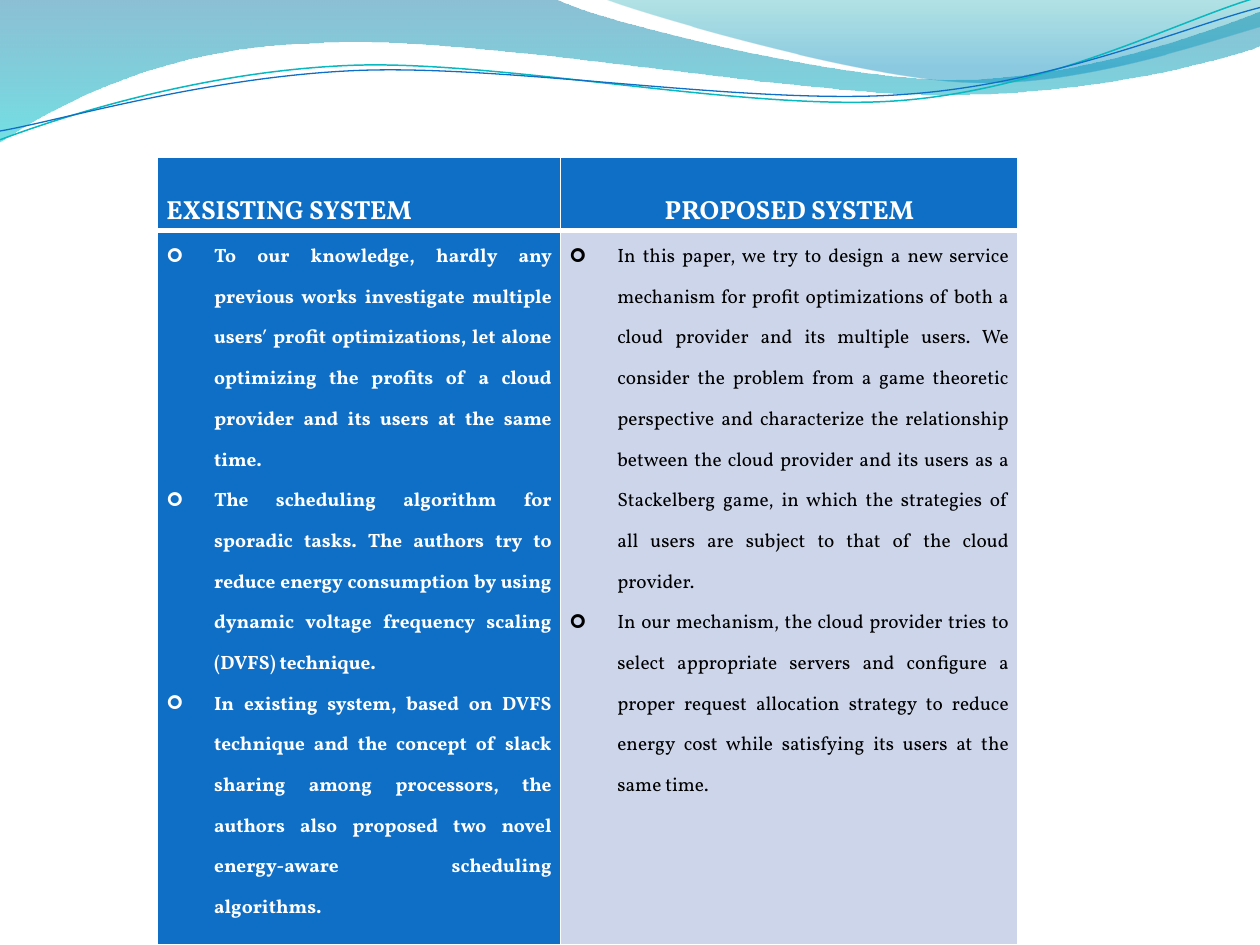
from dataclasses import dataclass

from lxml import etree
from pptx import Presentation
from pptx import util as u
from pptx.dml.color import RGBColor
from pptx.enum import text
from pptx.oxml import ns


@dataclass(frozen=True)
class Theme:
    """Colours, fonts and type sizes of the slide."""
    font: str = "Vollkorn"
    bullet_font: str = "Wingdings"
    blue: str = "0F6FC6"
    teal: str = "0AB8BF"
    pale: str = "CCD5EA"
    white: str = "FFFFFF"
    black: str = "000000"
    heading_size: int = 15
    body_size: int = 11


THEME = Theme()
BULLET = "➢"
HEADINGS = [
    ("EXSISTING SYSTEM", text.PP_ALIGN.LEFT),
    ("PROPOSED SYSTEM", text.PP_ALIGN.CENTER),
]
EXISTING = [
    "To our knowledge, hardly any previous works investigate multiple users′ profit "
    "optimizations, let alone optimizing the profits of a cloud provider and its users "
    "at the same time.",
    "The scheduling algorithm for sporadic tasks. The authors try to reduce energy "
    "consumption by using dynamic voltage frequency scaling (DVFS) technique.",
    "In existing system, based on DVFS technique and the concept of slack sharing among "
    "processors, the authors also proposed two novel energy-aware scheduling algorithms.",
]
PROPOSED = [
    "In this paper, we try to design a new service mechanism for profit optimizations of "
    "both a cloud provider and its multiple users. We consider the problem from a game "
    "theoretic perspective and characterize the relationship between the cloud provider "
    "and its users as a Stackelberg game, in which the strategies of all users are "
    "subject to that of the cloud provider.",
    "In our mechanism, the cloud provider tries to select appropriate servers and "
    "configure a proper request allocation strategy to reduce energy cost while "
    "satisfying its users at the same time.",
]
BACK_WAVE = [
    (0, 0), (4.4, -0.01),
    (4.76, 0.17, 6.64, 0.63, 7.58, 0.63), (8.53, 0.63, 9.58, 0.26, 10, 0.09),
    (10.01, 0.36),
    (9.83, 0.44, 8.7, 0.76, 7.46, 0.75), (6.22, 0.75, 3.82, 0.28, 2.57, 0.34),
    (1.29, 0.36, 0.46, 0.83, -0.01, 1.13),
]
FRONT_WAVE = [
    (4.79, -0.01),
    (5.09, 0.11, 6.82, 0.62, 7.69, 0.65), (8.56, 0.69, 9.61, 0.32, 10, 0.21),
    (10, 0),
]
TEAL_LINE = [
    (0, 1.11),
    (0.48, 0.93, 1.58, 0.57, 2.77, 0.52), (3.95, 0.47, 5.93, 0.89, 7.13, 0.8),
    (8.33, 0.71, 9.38, 0.15, 9.98, -0.02),
]
BLUE_LINE = [
    (0, 1.04),
    (0.47, 0.96, 1.64, 0.61, 2.83, 0.56), (4.03, 0.51, 5.97, 0.84, 7.17, 0.75),
    (8.36, 0.67, 9.41, 0.21, 10, 0.06),
]


def rgb(value):
    """Turn a hex string into a colour."""
    return RGBColor.from_string(value)


def bend_segment(line, numbers, shape):
    """Turn a straight segment into a cubic curve."""
    line.tag = ns.qn("a:cubicBezTo")
    for point in list(line):
        line.remove(point)
    for x, y in zip(numbers[::2], numbers[1::2]):
        etree.SubElement(line, ns.qn("a:pt"), x=str(u.Inches(x) - shape.left),
                         y=str(u.Inches(y) - shape.top))


def add_outline(slide, segments, close):
    """Draw an outline from line points and cubic curves."""
    anchors = [tuple(u.Inches(value) for value in segment[-2:]) for segment in segments]
    builder = slide.shapes.build_freeform(*anchors[0], scale=1.0)
    builder.add_line_segments(anchors[1:], close=close)
    shape = builder.convert_to_shape()
    shape.shadow.inherit = False
    lines = list(shape._element.spPr.iter(ns.qn("a:lnTo")))
    for line, numbers in zip(lines, segments[1:]):
        if len(numbers) == 6:
            bend_segment(line, numbers, shape)
    return shape


def add_wave(slide, segments, stops):
    """Add a wave with a see-through vertical gradient."""
    shape = add_outline(slide, segments, True)
    shape.line.fill.background()
    shape.fill.gradient()
    shape.fill.gradient_angle = 270
    for stop, (position, color, opacity) in zip(shape.fill.gradient_stops, stops):
        stop.position = position
        stop.color.rgb = rgb(color)
    colors = shape._element.spPr.iter(ns.qn("a:srgbClr"))
    for element, (position, color, opacity) in zip(colors, stops):
        etree.SubElement(element, ns.qn("a:alpha"), val=str(opacity * 1000))


def add_curve(slide, segments, color, width):
    """Add a thin curved line."""
    shape = add_outline(slide, segments, False)
    shape.fill.background()
    shape.line.color.rgb = rgb(color)
    shape.line.width = u.Pt(width)


def style_cell(cell, color, bottom_width):
    """Set margins, white borders and fill of a cell."""
    cell.margin_left = cell.margin_right = u.Inches(0.07)
    cell.margin_top = cell.margin_bottom = 0
    properties = cell._tc.get_or_add_tcPr()
    for side, width in (("L", 1), ("R", 1), ("T", 1), ("B", bottom_width)):
        line = etree.SubElement(properties, ns.qn(f"a:ln{side}"), w=str(u.Pt(width)))
        fill = etree.SubElement(line, ns.qn("a:solidFill"))
        etree.SubElement(fill, ns.qn("a:srgbClr"), val=THEME.white)
    cell.fill.solid()
    cell.fill.fore_color.rgb = rgb(color)


def style_paragraph(paragraph, alignment, spacing, size, color, bold):
    """Set alignment, line spacing and font of a paragraph."""
    paragraph.alignment = alignment
    paragraph.line_spacing = spacing
    font = paragraph.font
    font.name, font.size, font.bold = THEME.font, u.Pt(size), bold
    font.color.rgb = rgb(color)


def fill_heading(cell, heading, alignment):
    """Write a column heading at the foot of its cell."""
    style_cell(cell, THEME.blue, 3)
    cell.vertical_anchor = text.MSO_ANCHOR.BOTTOM
    cell.text = heading
    style_paragraph(cell.text_frame.paragraphs[0], alignment, 1.15,
                    THEME.heading_size, THEME.white, True)


def fill_points(cell, points, background, color, bold):
    """Write justified bullet points into a cell."""
    style_cell(cell, background, 1)
    cell.text = "\n".join(points)
    for paragraph in cell.text_frame.paragraphs:
        properties = paragraph._p.get_or_add_pPr()
        properties.set("marL", str(u.Inches(0.38)))
        properties.set("indent", str(-u.Inches(0.38)))
        etree.SubElement(properties, ns.qn("a:buFont"), typeface=THEME.bullet_font)
        etree.SubElement(properties, ns.qn("a:buChar"), char=BULLET)
        style_paragraph(paragraph, text.PP_ALIGN.JUSTIFY, 1.5,
                        THEME.body_size, color, bold)


def add_comparison(slide):
    """Add the table that compares the two systems."""
    widths, heights = (3.2, 3.63), (0.58, 5.67)
    table = slide.shapes.add_table(
        2, 2, u.Inches(1.25), u.Inches(1.25),
        u.Inches(sum(widths)), u.Inches(sum(heights))).table
    for column, width in zip(table.columns, widths):
        column.width = u.Inches(width)
    for row, height in zip(table.rows, heights):
        row.height = u.Inches(height)
    for index, (heading, alignment) in enumerate(HEADINGS):
        fill_heading(table.cell(0, index), heading, alignment)
    fill_points(table.cell(1, 0), EXISTING, THEME.blue, THEME.white, True)
    fill_points(table.cell(1, 1), PROPOSED, THEME.pale, THEME.black, False)


def main():
    """Build and save the slide."""
    presentation = Presentation()
    presentation.slide_width, presentation.slide_height = u.Inches(10), u.Inches(7.5)
    slide = presentation.slides.add_slide(presentation.slide_layouts[6])
    add_wave(slide, BACK_WAVE, [(0, "0074A1", 45), (1, "00C6CF", 55)])
    add_wave(slide, FRONT_WAVE, [(0, "00A1A9", 30), (0.8, "008BBF", 45)])
    add_curve(slide, TEAL_LINE, THEME.teal, 0.85)
    add_curve(slide, BLUE_LINE, THEME.blue, 0.75)
    add_comparison(slide)
    presentation.save("out.pptx")


if __name__ == "__main__":
    main()
